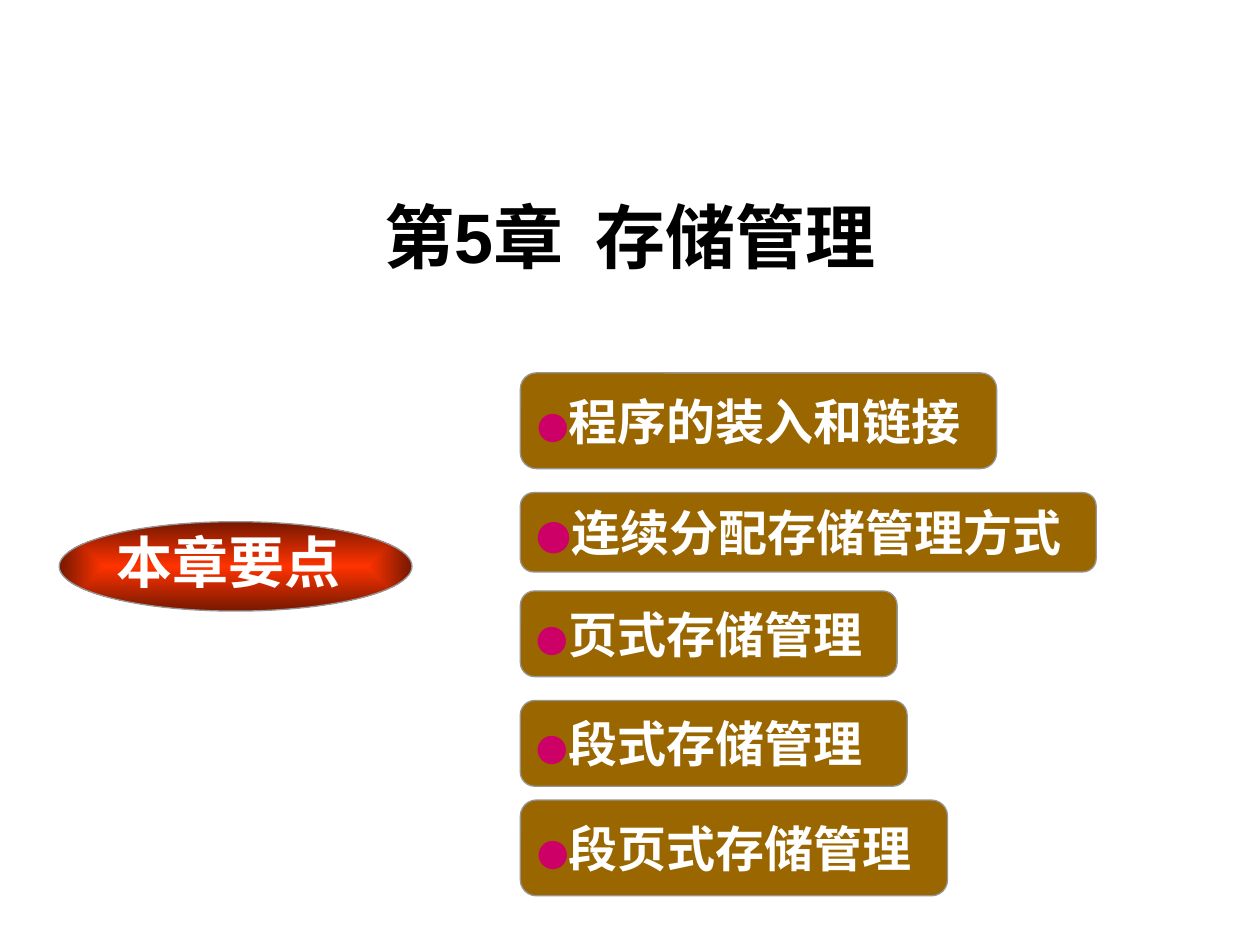
"""Build the opening slide of the storage management chapter."""
import pptx
import pptx.dml.color
import pptx.enum.shapes
import pptx.enum.text
import pptx.oxml
import pptx.oxml.ns
import pptx.util

Inches = pptx.util.Inches
RGBColor = pptx.dml.color.RGBColor
Shape = pptx.enum.shapes.MSO_SHAPE
Align = pptx.enum.text.PP_ALIGN
Anchor = pptx.enum.text.MSO_ANCHOR

BLACK = RGBColor(0x00, 0x00, 0x00)
WHITE = RGBColor(0xFF, 0xFF, 0xFF)
GREY = RGBColor(0x96, 0x96, 0x96)
BROWN = RGBColor(0x99, 0x66, 0x00)
PINK = RGBColor(0xCC, 0x00, 0x66)
ORANGE = RGBColor(0xFF, 0x33, 0x00)
MAROON = RGBColor(0x76, 0x18, 0x00)

HEADING = "第5章  存储管理"
KEY_LABEL = "本章要点"
TOPIC_LEFT = 4.13
TOPICS = [
    ("程序的装入和链接", 2.96, 3.78, 0.76, 18),
    ("连续分配存储管理方式", 3.91, 4.57, 0.63, 20),
    ("页式存储管理", 4.69, 2.99, 0.68, 18),
    ("段式存储管理", 5.56, 3.07, 0.68, 18),
    ("段页式存储管理", 6.35, 3.39, 0.76, 18),
]
RADIAL_PATH = (
    f'<a:path {pptx.oxml.ns.nsdecls("a")} path="rect">'
    '<a:fillToRect l="50000" t="50000" r="50000" b="50000"/></a:path>'
)


def apply(target, formats):
    for name, value in formats.items():
        setattr(target, name, value)


def add_run(paragraph, text, size, color, bold, font="Times New Roman"):
    run = paragraph.add_run()
    run.text = text
    apply(run.font, {"name": font, "size": pptx.util.Pt(size), "bold": bold})
    run.font.color.rgb = color


def add_outlined(shapes, kind, *box):
    outlined = shapes.add_shape(kind, *map(Inches, box))
    outlined.shadow.inherit = False
    outlined.line.color.rgb = GREY
    outlined.line.width = pptx.util.Pt(0.75)
    return outlined


def add_heading(slide):
    heading = slide.shapes.title
    apply(heading, {"left": Inches(0.75), "top": Inches(1),
                    "width": Inches(8.5), "height": Inches(1.25)})
    apply(heading.text_frame, {"vertical_anchor": Anchor.BOTTOM, "word_wrap": True,
                               "auto_size": pptx.enum.text.MSO_AUTO_SIZE.NONE})
    line = heading.text_frame.paragraphs[0]
    line.alignment = Align.CENTER
    add_run(line, HEADING, 40, BLACK, True, "Arial")


def add_key_label(slide):
    group = slide.shapes.add_group_shape()
    ellipse = add_outlined(group.shapes, Shape.OVAL, 0.47, 4.14, 2.8, 0.71)
    ellipse.fill.gradient()
    for stop, color in zip(ellipse.fill.gradient_stops, (ORANGE, MAROON)):
        stop.color.rgb = color
    direction = ellipse.element.spPr.find(".//" + pptx.oxml.ns.qn("a:lin"))
    direction.getparent().replace(direction, pptx.oxml.parse_xml(RADIAL_PATH))
    label = group.shapes.add_textbox(*map(Inches, (0.83, 4.14, 2.22, 0.64)))
    label.text_frame.word_wrap = True
    add_run(label.text_frame.paragraphs[0], KEY_LABEL, 32, WHITE, True)


def add_topic(slide, text, top, width, height, dot_size):
    topic = add_outlined(slide.shapes, Shape.ROUNDED_RECTANGLE,
                         TOPIC_LEFT, top, width, height)
    topic.fill.solid()
    topic.fill.fore_color.rgb = BROWN
    apply(topic.text_frame, {"vertical_anchor": Anchor.MIDDLE, "word_wrap": False})
    line = topic.text_frame.paragraphs[0]
    line.alignment = Align.LEFT
    add_run(line, "●", dot_size, PINK, False)
    add_run(line, text, 28, WHITE, True)


def main():
    deck = pptx.Presentation()
    apply(deck, {"slide_width": Inches(10), "slide_height": Inches(7.5)})
    slide = deck.slides.add_slide(deck.slide_layouts[5])
    add_heading(slide)
    add_key_label(slide)
    for topic in TOPICS:
        add_topic(slide, *topic)
    deck.save("out.pptx")


if __name__ == "__main__":
    main()
